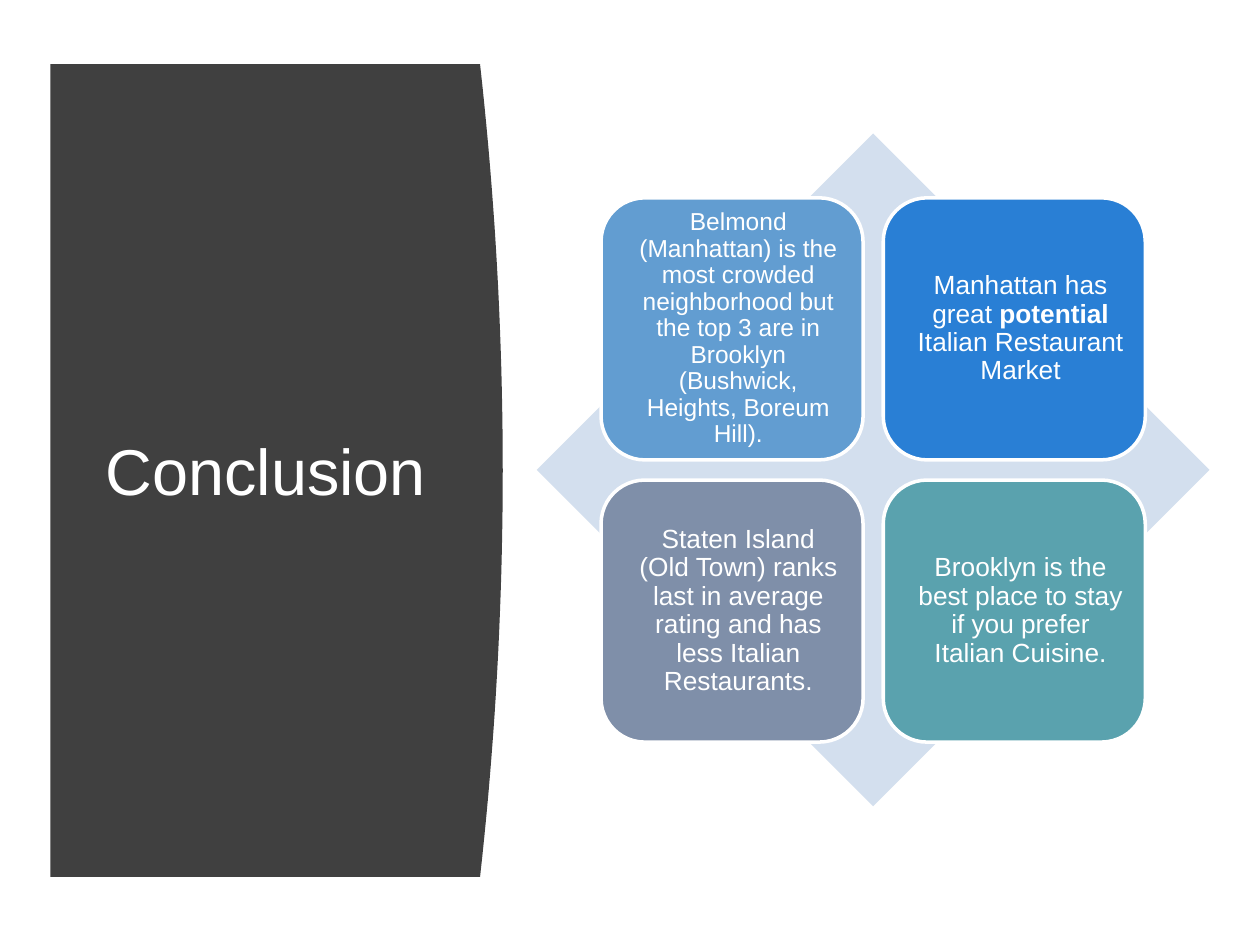
"""Build the conclusion slide: a curved title panel beside a four-part diamond matrix."""
from pptx import Presentation
from pptx.dml.color import RGBColor
from pptx.enum.shapes import MSO_SHAPE
from pptx.enum.text import MSO_ANCHOR, MSO_AUTO_SIZE, PP_ALIGN
from pptx.util import Inches, Pt

DIAMOND = MSO_SHAPE.DIAMOND
ROUNDED = MSO_SHAPE.ROUNDED_RECTANGLE
MIDDLE = MSO_ANCHOR.MIDDLE
CENTER = PP_ALIGN.CENTER
NO_AUTOFIT = MSO_AUTO_SIZE.NONE
TITLE_ONLY = 5

COLORS = {
    "panel": "404040",
    "diamond": "D3DFEE",
    "white": "FFFFFF",
    "sky": "629DD1",
    "blue": "297FD5",
    "slate": "7F8FA9",
    "teal": "5AA2AE",
}

CARDS = [
    ("sky", 14, ["Belmond (Manhattan) is the most crowded neighborhood but the top 3 "
                 "are in Brooklyn (Bushwick, Heights, Boreum Hill)."]),
    ("blue", 15, ["Manhattan has great ", "potential", " Italian Restaurant Market"]),
    ("slate", 15, ["Staten Island (Old Town) ranks last in average rating and has "
                   "less Italian Restaurants."]),
    ("teal", 15, ["Brooklyn is the best place to stay if you prefer Italian Cuisine."]),
]


class SlideBuilder:
    """Hold the style and the current slide."""

    def __init__(self, page, font="Arial"):
        self.page = page
        self.font = font

    def color(self, name):
        return RGBColor.from_string(COLORS[name])

    def paint(self, shape, fill, outline=None):
        shape.shadow.inherit = False
        shape.fill.solid()
        shape.fill.fore_color.rgb = self.color(fill)
        if outline:
            shape.line.color.rgb = self.color(outline)
            shape.line.width = Pt(2)
        else:
            shape.line.fill.background()

    def frame(self, shape, left, top, right, bottom):
        frame = shape.text_frame
        frame.word_wrap = True
        frame.auto_size = NO_AUTOFIT
        frame.vertical_anchor = MIDDLE
        frame.margin_left, frame.margin_top = Inches(left), Inches(top)
        frame.margin_right, frame.margin_bottom = Inches(right), Inches(bottom)
        return frame

    def style(self, span, size, bold=False):
        span.font.name = self.font
        span.font.size = Pt(size)
        span.font.bold = bold
        span.font.color.rgb = self.color("white")

    def panel(self, left, top, width, height, bulge, steps=40):
        edge = left + width
        curve = []
        for step in range(steps + 1):
            offset = 2 * step / steps - 1
            curve.append((Inches(edge - bulge * offset ** 2),
                          Inches(top + height * step / steps)))
        outline = self.page.shapes.build_freeform(Inches(left), Inches(top))
        outline.add_line_segments(curve + [(Inches(left), Inches(top + height))])
        shape = outline.convert_to_shape()
        self.paint(shape, "panel")
        return shape

    def title(self, text, panel, left, top, width, height):
        box = self.page.shapes.title
        panel.element.addnext(box.element)
        box.left, box.top = Inches(left), Inches(top)
        box.width, box.height = Inches(width), Inches(height)
        frame = self.frame(box, 0.1, 0.05, 0.1, 0.05)
        frame.text = text
        para = frame.paragraphs[0]
        para.alignment = CENTER
        self.style(para.runs[0], 37)

    def diamond(self, left, top, size):
        shape = self.page.shapes.add_shape(
            DIAMOND, Inches(left), Inches(top), Inches(size), Inches(size))
        self.paint(shape, "diamond")

    def card(self, left, top, size, fill, points, texts):
        shape = self.page.shapes.add_shape(
            ROUNDED, Inches(left), Inches(top), Inches(size), Inches(size))
        shape.adjustments[0] = 0.167
        self.paint(shape, fill, "white")
        para = self.frame(shape, 0.16, 0.16, 0.06, 0.16).paragraphs[0]
        para.alignment = CENTER
        para.line_spacing = 0.9
        para.space_after = Pt(5.2)
        for index, text in enumerate(texts):
            span = para.add_run()
            span.text = text
            self.style(span, points, bold=index == 1)


def main():
    deck = Presentation()
    deck.slide_width, deck.slide_height = Inches(10), Inches(7.5)
    builder = SlideBuilder(deck.slides.add_slide(deck.slide_layouts[TITLE_ONLY]))
    panel = builder.panel(0.4, 0.51, 3.59, 6.45, bulge=0.18)
    builder.title("Conclusion", panel, 0.71, 1.11, 2.8, 5.24)
    builder.diamond(4.26, 1.06, 5.34)
    for index, (fill, points, texts) in enumerate(CARDS):
        row, column = divmod(index, 2)
        builder.card(4.77 + 2.24 * column, 1.57 + 2.24 * row, 2.08, fill, points, texts)
    deck.save("out.pptx")


if __name__ == "__main__":
    main()
